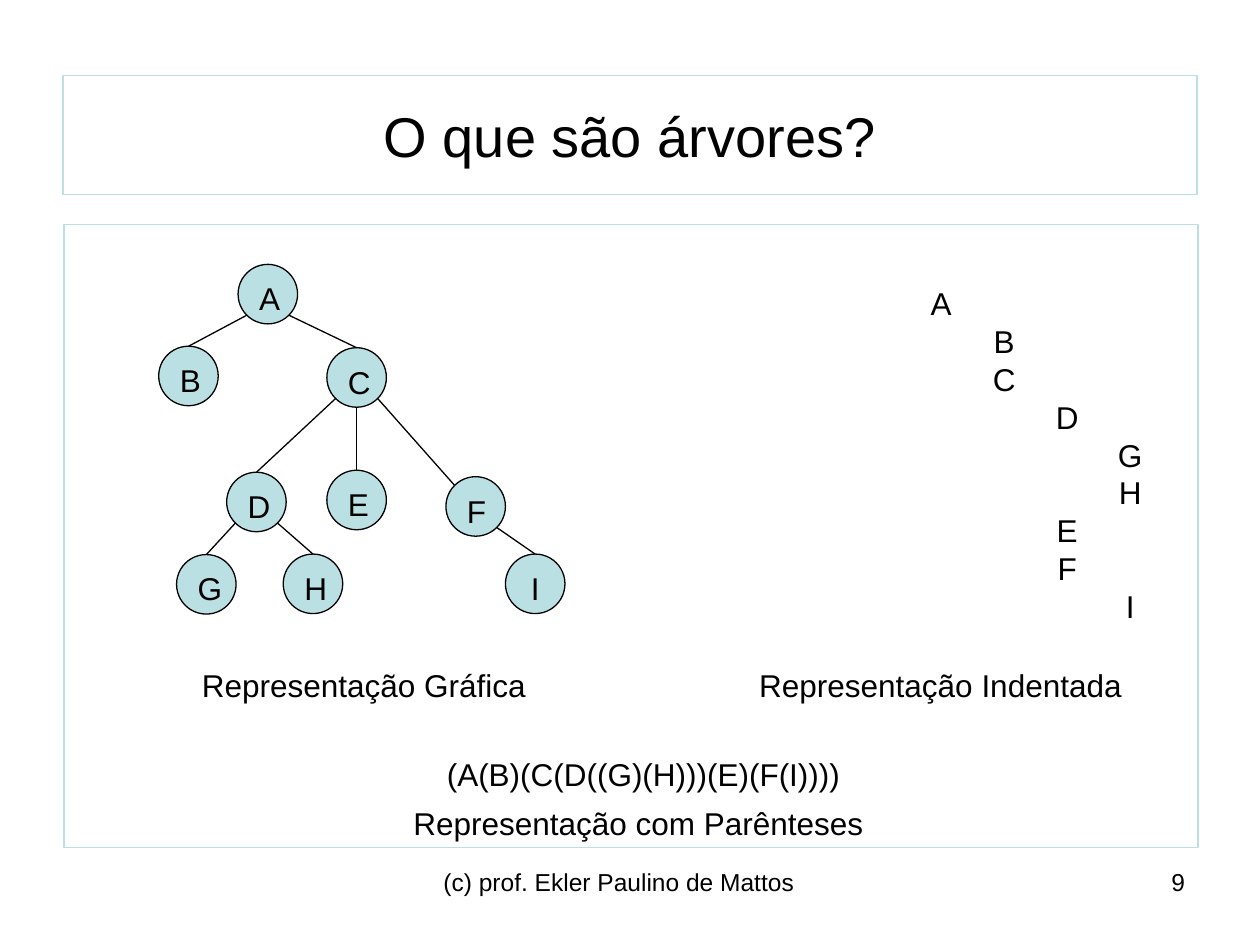
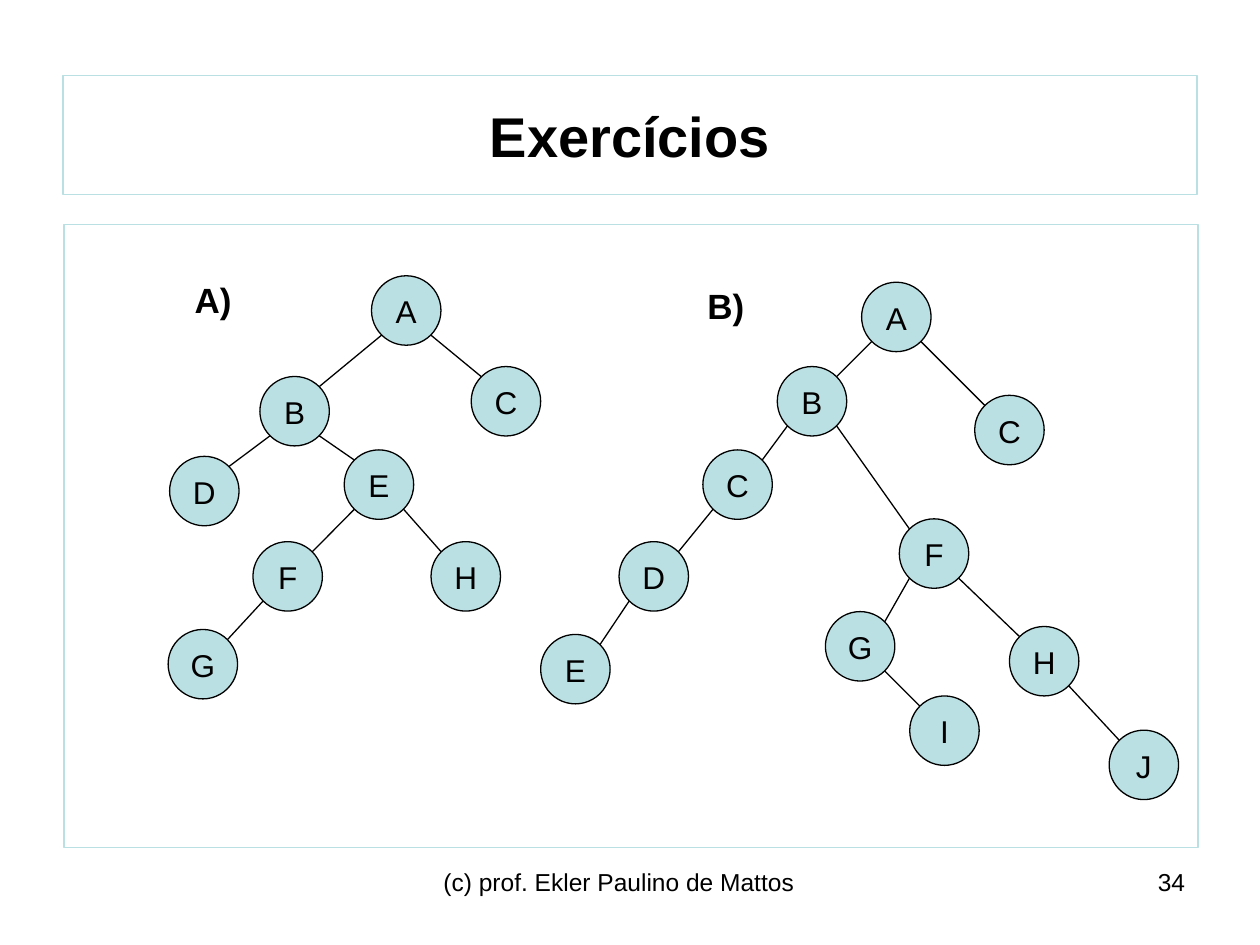
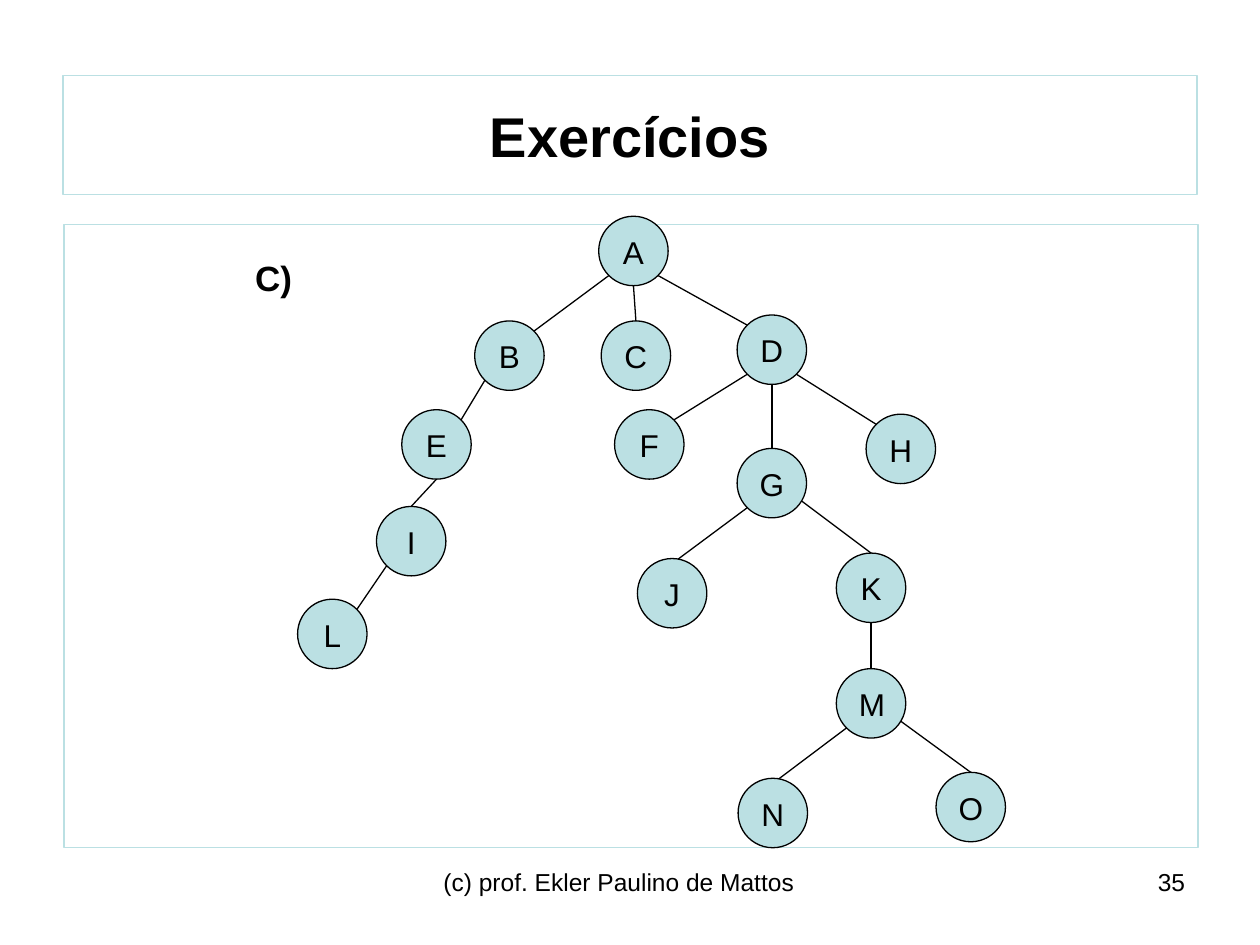
"""Build three slides on tree structures: representations and exercises."""
from math import cos, radians, sin

from lxml import etree
from pptx import Presentation
from pptx.dml.color import RGBColor
from pptx.enum.shapes import MSO_CONNECTOR, MSO_SHAPE
from pptx.enum.text import MSO_ANCHOR, PP_ALIGN
from pptx.oxml.ns import qn
from pptx.util import Cm, Pt

RECTANGLE, OVAL = MSO_SHAPE.RECTANGLE, MSO_SHAPE.OVAL
STRAIGHT = MSO_CONNECTOR.STRAIGHT
TOP_ANCHOR, MIDDLE_ANCHOR = MSO_ANCHOR.TOP, MSO_ANCHOR.MIDDLE
LEFT, CENTER, RIGHT = PP_ALIGN.LEFT, PP_ALIGN.CENTER, PP_ALIGN.RIGHT

COLORS = {"accent": "BBE0E3", "ink": "000000"}
FONT = "Arial"
LINE_WIDTH = 0.75
INDENT_STEP = 2.54

TITLE_BOX = (1.27, 1.52, 22.86, 2.41)
BODY_BOX = (1.29, 4.52, 22.86, 12.57)
AUTHOR_BOX = (8.69, 17.35, 8.05, 1.32)
NUMBER_BOX = (18.21, 17.35, 5.93, 1.32)
OUTLINE_BOX = (13.77, 5.61, 10.41, 7.19)
AUTHOR = "(c) prof. Ekler Paulino de Mattos"

# Angles run clockwise from the right-hand side of a node.
LOWER_RIGHT, BOTTOM, LOWER_LEFT = 45, 90, 135
UPPER_LEFT, TOP, UPPER_RIGHT = 225, 270, 315
TO_LEFT = (LOWER_LEFT, UPPER_RIGHT)
TO_RIGHT = (LOWER_RIGHT, UPPER_LEFT)
STRAIGHT_DOWN = (BOTTOM, TOP)
LEFT_TO_TOP = (LOWER_LEFT, TOP)
RIGHT_TO_TOP = (LOWER_RIGHT, TOP)
LEFT_NEAR_TOP = (LOWER_LEFT, 280)
SHALLOW_RIGHT_TO_TOP = (31, TOP)

INTRO_TREE = [
    ("A", 4.8, 5.33, None, None),
    ("B", 3.2, 6.98, "A", LEFT_TO_TOP),
    ("C", 6.59, 7.01, "A", RIGHT_TO_TOP),
    ("D", 4.57, 9.52, "C", LEFT_TO_TOP),
    ("G", 3.56, 11.18, "D", LEFT_TO_TOP),
    ("H", 5.71, 11.17, "D", RIGHT_TO_TOP),
    ("E", 6.59, 9.48, "C", STRAIGHT_DOWN),
    ("F", 8.99, 9.61, "C", TO_RIGHT),
    ("I", 10.19, 11.17, "F", RIGHT_TO_TOP),
]
TREE_A = [
    ("A", 7.49, 5.56, None, None),
    ("C", 9.5, 7.39, "A", TO_RIGHT),
    ("B", 5.24, 7.59, "A", TO_LEFT),
    ("D", 3.42, 9.2, "B", TO_LEFT),
    ("E", 6.94, 9.07, "B", TO_RIGHT),
    ("F", 5.1, 10.92, "E", TO_LEFT),
    ("G", 3.39, 12.69, "F", TO_LEFT),
    ("H", 8.69, 10.92, "E", TO_RIGHT),
]
TREE_B = [
    ("A", 17.37, 5.69, None, None),
    ("C", 19.65, 7.97, "A", TO_RIGHT),
    ("B", 15.67, 7.39, "A", TO_LEFT),
    ("C", 14.17, 9.07, "B", TO_LEFT),
    ("D", 12.48, 10.92, "C", TO_LEFT),
    ("E", 10.9, 12.79, "D", TO_LEFT),
    ("F", 18.13, 10.46, "B", TO_RIGHT),
    ("G", 16.64, 12.33, "F", TO_LEFT),
    ("I", 18.34, 14.03, "G", TO_RIGHT),
    ("H", 20.35, 12.63, "F", TO_RIGHT),
    ("J", 22.36, 14.72, "H", TO_RIGHT),
]
TREE_C = [
    ("A", 12.07, 4.36, None, None),
    ("B", 9.57, 6.47, "A", TO_LEFT),
    ("E", 8.1, 8.26, "B", TO_LEFT),
    ("I", 7.59, 10.21, "E", STRAIGHT_DOWN),
    ("L", 6, 12.08, "I", TO_LEFT),
    ("C", 12.12, 6.47, "A", STRAIGHT_DOWN),
    ("D", 14.86, 6.35, "A", TO_RIGHT),
    ("F", 12.39, 8.26, "D", TO_LEFT),
    ("G", 14.86, 9.04, "D", STRAIGHT_DOWN),
    ("H", 17.46, 8.35, "D", TO_RIGHT),
    ("J", 12.85, 11.26, "G", LEFT_NEAR_TOP),
    ("K", 16.86, 11.15, "G", SHALLOW_RIGHT_TO_TOP),
    ("M", 16.86, 13.48, "K", STRAIGHT_DOWN),
    ("N", 14.88, 15.69, "M", LEFT_NEAR_TOP),
    ("O", 18.87, 15.57, "M", SHALLOW_RIGHT_TO_TOP),
]
OUTLINE = [("A", 0), ("B", 1), ("C", 1), ("D", 2), ("G", 3), ("H", 3),
           ("E", 2), ("F", 2), ("I", 3)]

SLIDES = [
    {"title": "O que são árvores?", "bold": False, "number": 9,
     "diameter": 1.2, "trees": [INTRO_TREE], "outline": OUTLINE,
     "label_format": {"size": 18},
     "labels": [("Representação Gráfica", (3.78, 13.31, 7.11, 1.02)),
                ("Representação Indentada", (15.01, 13.31, 7.9, 1.02)),
                ("Representação com Parênteses", (8.03, 16.08, 9.68, 1.02)),
                ("(A(B)(C(D((G)(H)))(E)(F(I))))", (8.71, 15.09, 8.53, 1.02))]},
    {"title": "Exercícios", "bold": True, "number": 34,
     "diameter": 1.4, "trees": [TREE_A, TREE_B], "outline": [],
     "label_format": {"size": 20, "bold": True},
     "labels": [("A)", (3.66, 5.49, 1.27, 1.12)),
                ("B)", (14, 5.61, 1.27, 1.12))]},
    {"title": "Exercícios", "bold": True, "number": 35,
     "diameter": 1.4, "trees": [TREE_C], "outline": [],
     "label_format": {"size": 20, "bold": True},
     "labels": [("C)", (4.88, 5.05, 1.27, 1.12))]},
]


def write(holder, lines, size=18, bold=False, align=CENTER,
          anchor=TOP_ANCHOR, wrap=True):
    frame = holder.text_frame
    frame.word_wrap = wrap
    frame.vertical_anchor = anchor
    for position, (line, depth) in enumerate(lines):
        paragraph = frame.add_paragraph() if position else frame.paragraphs[0]
        paragraph.alignment = align
        if depth:
            properties = paragraph._p.get_or_add_pPr()
            properties.set("marL", str(Cm(depth * INDENT_STEP)))
            properties.set("indent", "0")
        run = paragraph.add_run()
        run.text = line
        run.font.name = FONT
        run.font.size = Pt(size)
        run.font.bold = bold
        run.font.color.rgb = RGBColor.from_string(COLORS["ink"])


def add_label(slide, text, box, **text_format):
    label = slide.shapes.add_textbox(*map(Cm, box))
    write(label, [(text, 0)], **text_format)


def draw_line(line, color):
    line.color.rgb = RGBColor.from_string(COLORS[color])
    line.width = Pt(LINE_WIDTH)


def add_outlined(slide, kind, box, line_color, fill=None):
    outlined = slide.shapes.add_shape(kind, *map(Cm, box))
    outlined.shadow.inherit = False
    if fill:
        outlined.fill.solid()
        outlined.fill.fore_color.rgb = RGBColor.from_string(COLORS[fill])
    else:
        outlined.fill.background()
    draw_line(outlined.line, line_color)
    return outlined


def rim_point(corner, angle, diameter):
    radius = diameter / 2
    left, top = corner
    return (left + radius * (1 + cos(radians(angle))),
            top + radius * (1 + sin(radians(angle))))


def add_branch(slide, start, end):
    branch = slide.shapes.add_connector(STRAIGHT, *map(Cm, start + end))
    draw_line(branch.line, "ink")
    etree.SubElement(branch._element.spPr, qn("a:effectLst"))


def add_tree(slide, tree, diameter):
    corners = {}
    for name, left, top, parent, route in tree:
        node = add_outlined(slide, OVAL, (left, top, diameter, diameter),
                            "ink", fill="accent")
        write(node, [(name, 0)])
        if parent:
            leave, arrive = route
            add_branch(slide, rim_point(corners[parent], leave, diameter),
                       rim_point((left, top), arrive, diameter))
        corners[name] = (left, top)


def add_page(deck, page):
    slide = deck.slides.add_slide(deck.slide_layouts[6])
    title = add_outlined(slide, RECTANGLE, TITLE_BOX, "accent")
    write(title, [(page["title"], 0)], size=32, bold=page["bold"],
          anchor=MIDDLE_ANCHOR)
    add_outlined(slide, RECTANGLE, BODY_BOX, "accent")
    for tree in page["trees"]:
        add_tree(slide, tree, page["diameter"])
    if page["outline"]:
        write(slide.shapes.add_textbox(*map(Cm, OUTLINE_BOX)), page["outline"])
    for text, box in page["labels"]:
        add_label(slide, text, box, wrap=False, **page["label_format"])
    add_label(slide, AUTHOR, AUTHOR_BOX, size=14, align=LEFT)
    add_label(slide, str(page["number"]), NUMBER_BOX, size=14, align=RIGHT)


def main():
    deck = Presentation()
    deck.slide_width, deck.slide_height = Cm(25.4), Cm(19.05)
    for page in SLIDES:
        add_page(deck, page)
    deck.save("out.pptx")


if __name__ == "__main__":
    main()
